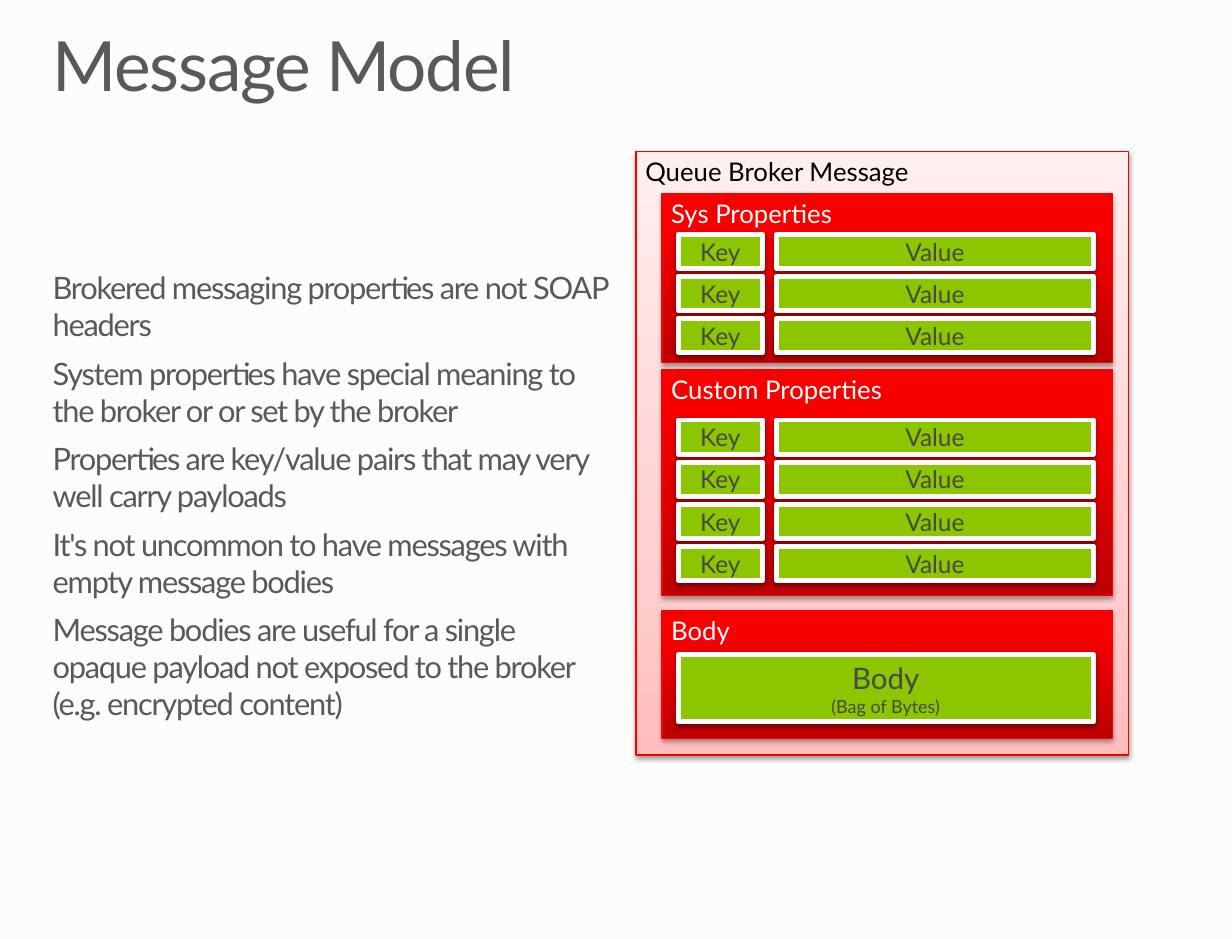
from lxml.etree import SubElement
from copy import deepcopy
from pptx import Presentation
from pptx.dml.color import RGBColor
from pptx.enum.shapes import MSO_SHAPE as Shape
from pptx.enum.text import MSO_ANCHOR as Anchor, MSO_AUTO_SIZE as AutoSize, PP_ALIGN as Align
from pptx.oxml.ns import qn
from pptx.util import Cm, Pt

FONT = "Lato"
BACKGROUND = RGBColor(0xFC, 0xFC, 0xFC)
GREY = RGBColor(0x59, 0x59, 0x59)
DARK_GREY = RGBColor(0x49, 0x49, 0x49)
BLACK = RGBColor(0x00, 0x00, 0x00)
WHITE = RGBColor(0xFF, 0xFF, 0xFF)
RED = RGBColor(0xF9, 0x00, 0x00)
GREEN = RGBColor(0x8C, 0xC6, 0x00)
# Gradient stops run from the bottom edge to the top edge
PINK_STOPS = [(0, RGBColor(0xFF, 0xBD, 0xBD)), (0.35, RGBColor(0xFF, 0xD1, 0xD1)),
              (1, RGBColor(0xFF, 0xEE, 0xEE))]
RED_STOPS = [(0, RGBColor(0xBE, 0x00, 0x00)), (0.8, RGBColor(0xF7, 0x00, 0x00)),
             (1, RGBColor(0xF8, 0x00, 0x00))]

# Columns and rows of the diagram, in centimetres
PANEL_LEFT, PANEL_WIDTH = 14.33, 9.75
KEY_LEFT, KEY_WIDTH = 14.68, 1.83
VALUE_LEFT, VALUE_WIDTH = 16.81, 6.86
ROW_HEIGHT, ROW_STEP = 0.74, 0.91

POINTS = [
    "Brokered messaging properties are not SOAP headers",
    "System properties have special meaning to the broker or or set by the broker",
    "Properties are key/value pairs that may very well carry payloads",
    "It's not uncommon to have messages with empty message bodies",
    "Message bodies are useful for a single opaque payload not exposed to the broker "
    "(e.g. encrypted content)",
]


def format_run(run, size, color):
    run.font.name = FONT
    run.font.size = Pt(size)
    run.font.color.rgb = color


def fill_placeholder(placeholder, box, lines, size, line_spacing, space_after):
    placeholder.left, placeholder.top, placeholder.width, placeholder.height = map(Cm, box)
    frame = placeholder.text_frame
    frame.text = "\n".join(lines)
    frame.margin_left = frame.margin_top = frame.margin_right = frame.margin_bottom = 0
    frame.vertical_anchor = Anchor.TOP
    frame.word_wrap = True
    frame.auto_size = AutoSize.SHAPE_TO_FIT_TEXT
    for paragraph in frame.paragraphs:
        properties = paragraph._p.get_or_add_pPr()
        properties.set("marL", "0")
        properties.set("indent", "0")
        SubElement(properties, qn("a:buNone"))
        paragraph.alignment = Align.LEFT
        paragraph.line_spacing = line_spacing
        paragraph.space_before = Pt(0)
        paragraph.space_after = Pt(space_after)
        for run in paragraph.runs:
            format_run(run, size, GREY)
            run.font._element.set("spc", "-80")


def set_gradient(shape, stops):
    shape.fill.gradient()
    shape.fill.gradient_angle = 90
    stop_list = shape._element.spPr.find(".//" + qn("a:gsLst"))
    stop_list.append(deepcopy(stop_list[0]))
    for stop, (position, color) in zip(shape.fill.gradient_stops, stops):
        stop.position = position
        stop.color.rgb = color


def set_shadow(shape, distance, opacity):
    shape.shadow.inherit = False
    effects = shape._element.spPr.find(qn("a:effectLst"))
    shadow = SubElement(effects, qn("a:outerShdw"), blurRad=str(Pt(3.1)),
                        dist=str(Pt(distance)), dir="5400000", rotWithShape="0")
    color = SubElement(shadow, qn("a:srgbClr"), val="000000")
    SubElement(color, qn("a:alpha"), val=str(opacity * 1000))


def add_box(shapes, box, text, line_color, line_width):
    shape = shapes.add_shape(Shape.RECTANGLE, *map(Cm, box))
    shape.line.color.rgb = line_color
    shape.line.width = Pt(line_width)
    frame = shape.text_frame
    frame.text = text
    frame.word_wrap = True
    frame.margin_left = frame.margin_right = Cm(0.2)
    frame.margin_top = frame.margin_bottom = Cm(0.1)
    return shape


def add_panel(shapes, box, text, stops, text_color, distance=1.8, opacity=35):
    shape = add_box(shapes, box, text, RED, 0.75)
    set_gradient(shape, stops)
    set_shadow(shape, distance, opacity)
    shape.text_frame.vertical_anchor = Anchor.TOP
    paragraph = shape.text_frame.paragraphs[0]
    paragraph.alignment = Align.LEFT
    format_run(paragraph.runs[0], 15.8, text_color)


def add_cell(shapes, box, text, sizes=(15,)):
    shape = add_box(shapes, box, text, WHITE, 3)
    shape.fill.solid()
    shape.fill.fore_color.rgb = GREEN
    set_shadow(shape, 1.6, 38)
    shape.text_frame.vertical_anchor = Anchor.MIDDLE
    paragraph = shape.text_frame.paragraphs[0]
    paragraph.alignment = Align.CENTER
    for run, size in zip(paragraph.runs, sizes):
        format_run(run, size, DARK_GREY)


def add_pairs(slide, top, count):
    group = slide.shapes.add_group_shape()
    for row in range(count):
        row_top = top + row * ROW_STEP
        add_cell(group.shapes, (KEY_LEFT, row_top, KEY_WIDTH, ROW_HEIGHT), "Key")
        add_cell(group.shapes, (VALUE_LEFT, row_top, VALUE_WIDTH, ROW_HEIGHT), "Value")


def main():
    presentation = Presentation()
    presentation.slide_width, presentation.slide_height = Cm(26.67), Cm(20.32)
    slide = presentation.slides.add_slide(presentation.slide_layouts[1])
    slide.background.fill.solid()
    slide.background.fill.fore_color.rgb = BACKGROUND

    # Title and list
    fill_placeholder(slide.shapes.title, (1.14, 0.69, 24.38, 1.63),
                     ["Message Model"], 42.5, 0.9, 0)
    fill_placeholder(slide.placeholders[1], (1.14, 5.82, 12.07, 9.88),
                     POINTS, 18.9, 1.0, 7.1)

    # Message frame
    add_panel(slide.shapes, (13.77, 3.28, 10.67, 13.06), "Queue Broker Message",
              PINK_STOPS, BLACK, 1.6, 38)

    # Panels inside the message
    for text, top, height in [("Body", 13.21, 2.77), ("Custom Properties", 8, 4.88),
                              ("Sys Properties", 4.19, 3.66)]:
        add_panel(slide.shapes, (PANEL_LEFT, top, PANEL_WIDTH, height), text, RED_STOPS, WHITE)

    # Key and value pairs, and the body content
    add_pairs(slide, 9.09, 4)
    add_pairs(slide, 5.07, 3)
    body_width = VALUE_LEFT + VALUE_WIDTH - KEY_LEFT
    add_cell(slide.shapes, (KEY_LEFT, 14.17, body_width, 1.45),
             "Body\v(Bag of Bytes)", (18.1, 11))

    presentation.save("out.pptx")


if __name__ == "__main__":
    main()
